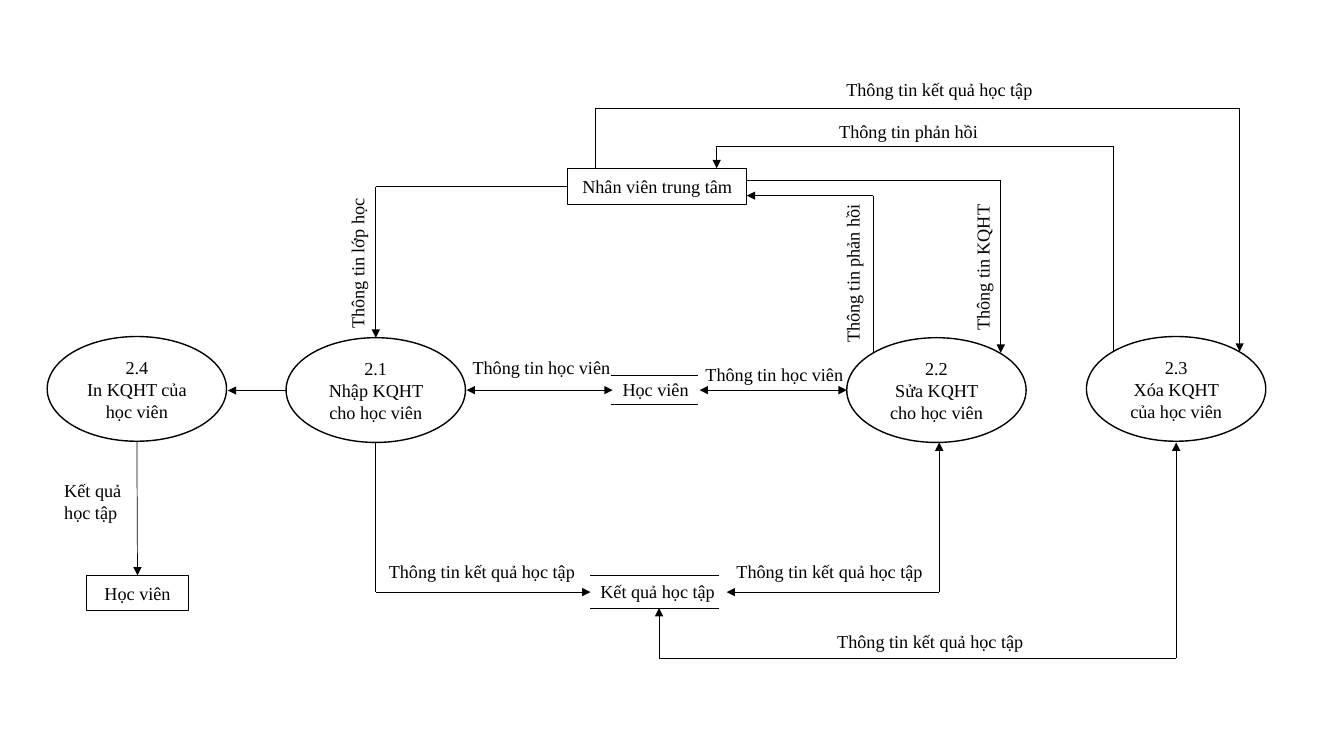
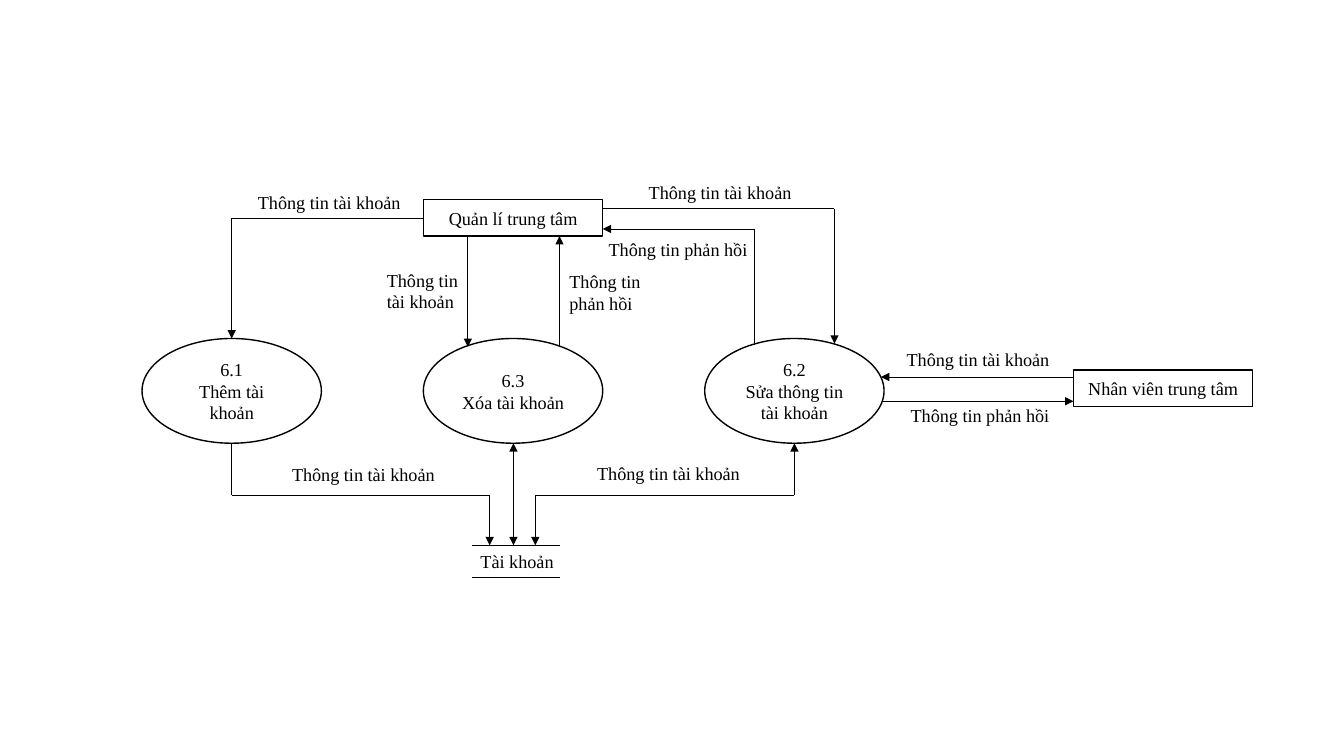
import pptx
import pptx.util
import pptx.dml.color
import pptx.enum.shapes
import pptx.enum.text
import pptx.oxml
import pptx.oxml.ns
from pptx.util import Cm

BLACK = pptx.dml.color.RGBColor(0, 0, 0)
WHITE = pptx.dml.color.RGBColor(255, 255, 255)
FONT = "Times New Roman"
OVAL = pptx.enum.shapes.MSO_SHAPE.OVAL
RECT = pptx.enum.shapes.MSO_SHAPE.RECTANGLE
STRAIGHT = pptx.enum.shapes.MSO_CONNECTOR.STRAIGHT
NODE_W, OVAL_H, RECT_H = 4.52, 2.64, 0.92
LINE_H, TWO_LINES_H = 0.82, 1.37


def add_text(s, text, x, y, w, h=LINE_H, preset=None, rotation=0, size=13):
    box = (Cm(x), Cm(y), Cm(w), Cm(h))
    if preset is None:
        sp = s.shapes.add_textbox(*box)
    else:
        sp = s.shapes.add_shape(preset, *box)
        sp.shadow.inherit = False
        sp.fill.solid()
        sp.fill.fore_color.rgb = WHITE
        sp.line.color.rgb = BLACK
        sp.line.width = pptx.util.Pt(1)
    sp.rotation = rotation
    tf = sp.text_frame
    tf.word_wrap = True
    if preset is not None:
        tf.vertical_anchor = pptx.enum.text.MSO_ANCHOR.MIDDLE
    tf.text = text
    for p in tf.paragraphs:
        if preset is not None:
            p.alignment = pptx.enum.text.PP_ALIGN.CENTER
        for r in p.runs:
            r.font.name = FONT
            r.font.size = pptx.util.Pt(size)
            r.font.color.rgb = BLACK
    return sp


def add_route(s, points, head=False, tail=True, begin=None, end=None):
    legs = list(zip(points, points[1:]))
    for i, ((x1, y1), (x2, y2)) in enumerate(legs):
        first, last = i == 0, i == len(legs) - 1
        c = s.shapes.add_connector(STRAIGHT, Cm(x1), Cm(y1), Cm(x2), Cm(y2))
        c.line.color.rgb = BLACK
        c.line.width = pptx.util.Pt(0.5)
        ln = c.line._get_or_add_ln()
        for tag, wanted in (("a:headEnd", head and first), ("a:tailEnd", tail and last)):
            if wanted:
                arrow = pptx.oxml.parse_xml(f"<{tag} {pptx.oxml.ns.nsdecls('a')} type='triangle'/>")
                ln.append(arrow)
        c._element.spPr.append(pptx.oxml.parse_xml(f"<a:effectLst {pptx.oxml.ns.nsdecls('a')}/>"))
        if begin and first:
            c.begin_connect(*begin)
        if end and last:
            c.end_connect(*end)


prs = pptx.Presentation()
prs.slide_width = Cm(33.87)
prs.slide_height = Cm(19.05)
blank = prs.slide_layouts[6]

s = prs.slides.add_slide(blank)
for text, x, y in (
    ("2.1\nNhập KQHT cho học viên", 7.21, 8.51),
    ("2.2\nSửa KQHT cho học viên", 21.34, 8.51),
    ("2.3\nXóa KQHT của học viên", 27.38, 8.48),
    ("2.4\nIn KQHT của học viên", 1.19, 8.48),
):
    add_text(s, text, x, y, NODE_W, OVAL_H, preset=OVAL)
staff = add_text(s, "Nhân viên trung tâm", 14.3, 4.24, NODE_W, RECT_H, preset=RECT)
student = add_text(s, "Học viên", 2.18, 14.5, 2.57, 0.89, preset=RECT)

add_route(s, [(14.3, 4.7), (9.47, 4.7), (9.47, 8.51)], begin=(staff, 1))
add_route(s, [(3.45, 11.12), (3.45, 14.5)], end=(student, 0))
for points in (
    [(18.82, 4.55), (25.22, 4.55), (25.22, 8.89)],
    [(22, 8.89), (22, 4.93), (18.82, 4.93)],
    [(7.21, 9.84), (5.74, 9.84)],
    [(15.01, 4.24), (15.01, 2.73), (31.24, 2.73), (31.24, 8.86)],
    [(28.05, 8.86), (28.05, 3.69), (18.06, 3.69), (18.06, 4.24)],
    [(9.47, 11.15), (9.47, 14.92), (14.88, 14.92)],
):
    add_route(s, points)
for points in (
    [(11.76, 9.83), (15.44, 9.83)],
    [(17.63, 9.83), (21.34, 9.83)],
    [(23.67, 11.15), (23.67, 14.92), (18.31, 14.92)],
    [(29.64, 11.15), (29.64, 16.58), (16.61, 16.58), (16.61, 15.32)],
):
    add_route(s, points, head=True)
for left, right, y in (
    (15.39, 17.6, 9.45), (15.39, 17.6, 10.19),
    (14.88, 18.13, 14.5), (14.88, 18.13, 15.32),
):
    add_route(s, [(left, y), (right, y)], tail=False)

for x, y in ((9.55, 14), (18.31, 14), (20.85, 15.75), (21.08, 1.85)):
    add_text(s, "Thông tin kết quả học tập", x, y, 5.49)
for x, y in ((11.66, 8.86), (17.53, 9.02)):
    add_text(s, "Thông tin học viên", x, y, 4.1)
add_text(s, "Thông tin phản hồi", 20.9, 2.9, 4.1)
add_text(s, "Học viên", 15.44, 9.42, 2.3)
add_text(s, "Kết quả học tập", 14.88, 14.5, 3.5)
add_text(s, "Kết quả học tập", 1.37, 11.96, 2.13, TWO_LINES_H)
for text, x, y, w in (
    ("Thông tin lớp học", 7.01, 6.12, 4),
    ("Thông tin phản hồi", 19.46, 6.45, 4.06),
    ("Thông tin KQHT", 22.86, 6.27, 3.81),
):
    add_text(s, text, x, y, w, rotation=270)

s = prs.slides.add_slide(blank)
for i, text in enumerate(("6.1\nThêm tài khoản", "6.3\nXóa tài khoản", "6.2\nSửa thông tin tài khoản")):
    add_text(s, text, 3.58 + 7.09 * i, 8.53, NODE_W, OVAL_H, preset=OVAL)
manager = add_text(s, "Quản lí trung tâm", 10.67, 5.03, NODE_W, RECT_H, preset=RECT)
add_text(s, "Nhân viên trung tâm", 27.05, 9.32, NODE_W, RECT_H, preset=RECT)

add_route(s, [(10.67, 5.49), (5.84, 5.49), (5.84, 8.53)], begin=(manager, 1))
for points in (
    [(11.79, 5.95), (11.79, 8.74)],
    [(14.1, 8.74), (14.1, 5.95)],
    [(15.19, 5.26), (21.03, 5.26), (21.03, 8.66)],
    [(19, 8.69), (19, 5.77), (15.19, 5.77)],
    [(27.05, 9.5), (22.2, 9.5)],
    [(22.23, 10.11), (27.05, 10.11)],
    [(5.84, 11.17), (5.84, 12.47), (12.34, 12.47), (12.34, 13.74)],
):
    add_route(s, points)
for points in (
    [(12.94, 11.17), (12.94, 13.74)],
    [(20.02, 11.17), (20.02, 12.47), (13.49, 12.47), (13.49, 13.74)],
):
    add_route(s, points, head=True)
for y in (13.74, 14.55):
    add_route(s, [(11.89, y), (14.1, y)], tail=False)

for x, y in ((6.25, 4.7), (16.1, 4.45), (7.11, 11.56), (14.8, 11.53), (22.6, 8.64)):
    add_text(s, "Thông tin tài khoản", x, y, 4.25)
for x, y in ((15.09, 5.87), (22.7, 10.06)):
    add_text(s, "Thông tin phản hồi", x, y, 4.1)
add_text(s, "Thông tin tài khoản", 9.5, 6.65, 2.36, TWO_LINES_H)
add_text(s, "Thông tin phản hồi", 14.1, 6.68, 2.36, TWO_LINES_H)
add_text(s, "Tài khoản", 11.86, 13.74, 2.5)

prs.save("out.pptx")
